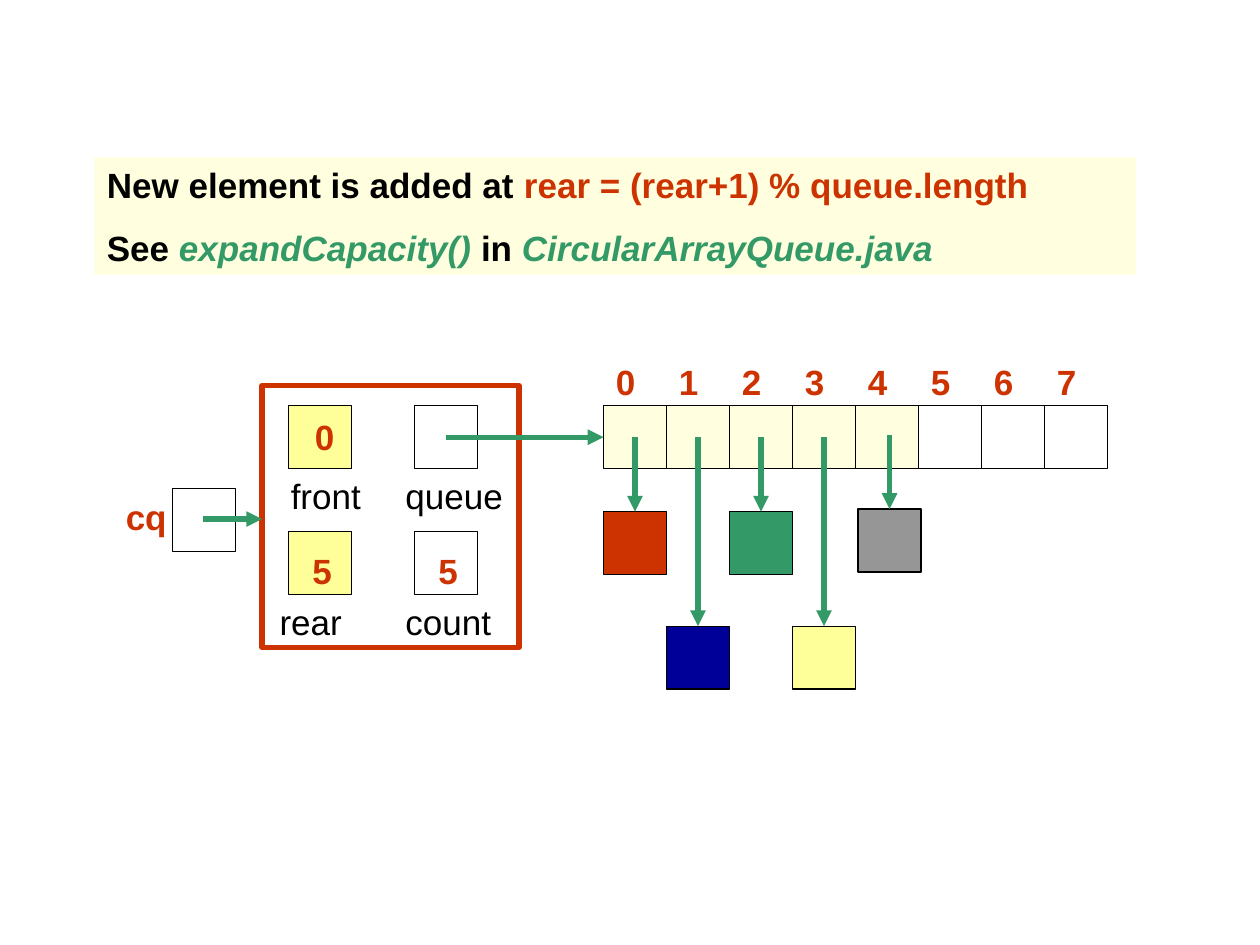
from pptx import Presentation
from pptx import util as u
from pptx.dml.color import RGBColor
from pptx.enum import shapes, text
from pptx.oxml import ns
from lxml import etree

BLACK = RGBColor(0x00, 0x00, 0x00)
RED = RGBColor(0xCC, 0x33, 0x00)
GREEN = RGBColor(0x33, 0x99, 0x66)
BLUE = RGBColor(0x00, 0x00, 0x99)
GRAY = RGBColor(0x96, 0x96, 0x96)
YELLOW = RGBColor(0xFF, 0xFF, 0x99)
CREAM = RGBColor(0xFF, 0xFF, 0xDF)

CELL = 0.5
HALF = CELL / 2
LABEL_HEIGHT = 0.43


def add_box(page, left, top, width, height, fill=None, line=BLACK, weight=0.75):
    box = page.shapes.add_shape(
        shapes.MSO_SHAPE.RECTANGLE,
        u.Inches(left), u.Inches(top), u.Inches(width), u.Inches(height))
    box.shadow.inherit = False
    if fill is None:
        box.fill.background()
    else:
        box.fill.solid()
        box.fill.fore_color.rgb = fill
    if line is None:
        box.line.fill.background()
    else:
        box.line.color.rgb = line
        box.line.width = u.Pt(weight)
    return box


def add_cell(page, left, top, fill=None):
    return add_box(page, left, top, CELL, CELL, fill)


def add_span(para, words, color, bold=True, italic=False):
    span = para.add_run()
    span.text = words
    span.font.name = "Arial"
    span.font.size = u.Pt(20)
    span.font.bold = bold
    span.font.italic = italic
    span.font.color.rgb = color


def add_label(page, left, top, width, words, color=RED, bold=True):
    box = page.shapes.add_textbox(
        u.Inches(left), u.Inches(top), u.Inches(width), u.Inches(LABEL_HEIGHT))
    box.text_frame.word_wrap = True
    add_span(box.text_frame.paragraphs[0], words, color, bold)


def add_arrow(page, x1, y1, x2, y2):
    arrow = page.shapes.add_connector(
        shapes.MSO_CONNECTOR.STRAIGHT,
        u.Inches(x1), u.Inches(y1), u.Inches(x2), u.Inches(y2))
    arrow.line.color.rgb = GREEN
    arrow.line.width = u.Pt(3)
    etree.SubElement(arrow.line._get_or_add_ln(), ns.qn("a:tailEnd"), type="triangle")
    etree.SubElement(arrow._element.spPr, ns.qn("a:effectLst"))


def add_message(page, left, top, width, height):
    box = add_box(page, left, top, width, height, CREAM, None)
    frame = box.text_frame
    frame.word_wrap = True
    frame.vertical_anchor = text.MSO_ANCHOR.MIDDLE
    first, second = frame.paragraphs[0], frame.add_paragraph()
    for para in (first, second):
        para.alignment = text.PP_ALIGN.LEFT
    second.space_before = u.Pt(11.5)
    add_span(first, "New element is added at ", BLACK)
    add_span(first, "rear = (rear+1) % queue.length", RED)
    add_span(second, "See ", BLACK)
    add_span(second, "expandCapacity()", GREEN, italic=True)
    add_span(second, " in ", BLACK)
    add_span(second, "CircularArrayQueue.java", GREEN, italic=True)


def add_queue_object(page, left, top, width, height):
    """Draw the framed object with its four named fields."""
    add_box(page, left, top, width, height, line=RED, weight=3)
    # column, row, name, name offset, name width, fill
    fields = [
        (0, 0, "front", 0.13, 0.83, YELLOW),
        (1, 0, "queue", 1.04, 1.0, None),
        (0, 1, "rear", 0.04, 0.92, YELLOW),
        (1, 1, "count", 1.04, 1.0, None),
    ]
    for column, row, name, offset, name_width, fill in fields:
        cell_top = top + 0.16 + row
        add_cell(page, left + 0.21 + column, cell_top, fill)
        add_label(page, left + offset, cell_top + CELL, name_width, name, BLACK, False)
    for x, y, value in [(0.32, 0.19, "0"), (0.3, 1.25, "5"), (1.3, 1.25, "5")]:
        add_label(page, left + x, top + y, 0.39, value)


def add_reference(page, left, top, target):
    """Draw the cq variable and its arrow to the object at x = target."""
    add_label(page, left, top, 0.94, "cq")
    add_cell(page, left + 0.47, top)
    add_arrow(page, left + 0.71, top + 0.24, target, top + 0.24)


def add_array(page, left, top):
    """Draw the indexed array and the elements its cells point to."""
    for index in range(8):
        x = left + index * CELL
        add_label(page, x, top - 0.41, 0.39, str(index))
        add_cell(page, x, top, CREAM if index < 5 else None)
    # fill, drop below the array top, shift right and down of the whole pair
    elements = [
        (RED, 0.84, 0, 0),
        (BLUE, 1.75, 0, 0),
        (GREEN, 0.84, 0, 0),
        (YELLOW, 1.75, 0, 0),
        (GRAY, 0.84, 0.02, -0.02),
    ]
    for index, (fill, drop, dx, dy) in enumerate(elements):
        x, y = left + index * CELL + dx, top + dy
        add_cell(page, x, y + drop, fill)
        add_arrow(page, x + HALF, y + HALF, x + HALF, y + drop)


def main():
    deck = Presentation()
    deck.slide_width, deck.slide_height = u.Inches(10), u.Inches(7.5)
    page = deck.slides.add_slide(deck.slide_layouts[6])
    object_left, array_left, row_top = 2.08, 4.79, 3.22
    add_message(page, 0.75, 1.25, 8.27, 0.93)
    add_queue_object(page, object_left, 3.06, 2.04, 2.08)
    add_array(page, array_left, row_top)
    add_arrow(page, 3.54, row_top + HALF, array_left, row_top + HALF)
    add_reference(page, 0.9, 3.88, object_left)
    deck.save("out.pptx")


if __name__ == "__main__":
    main()
